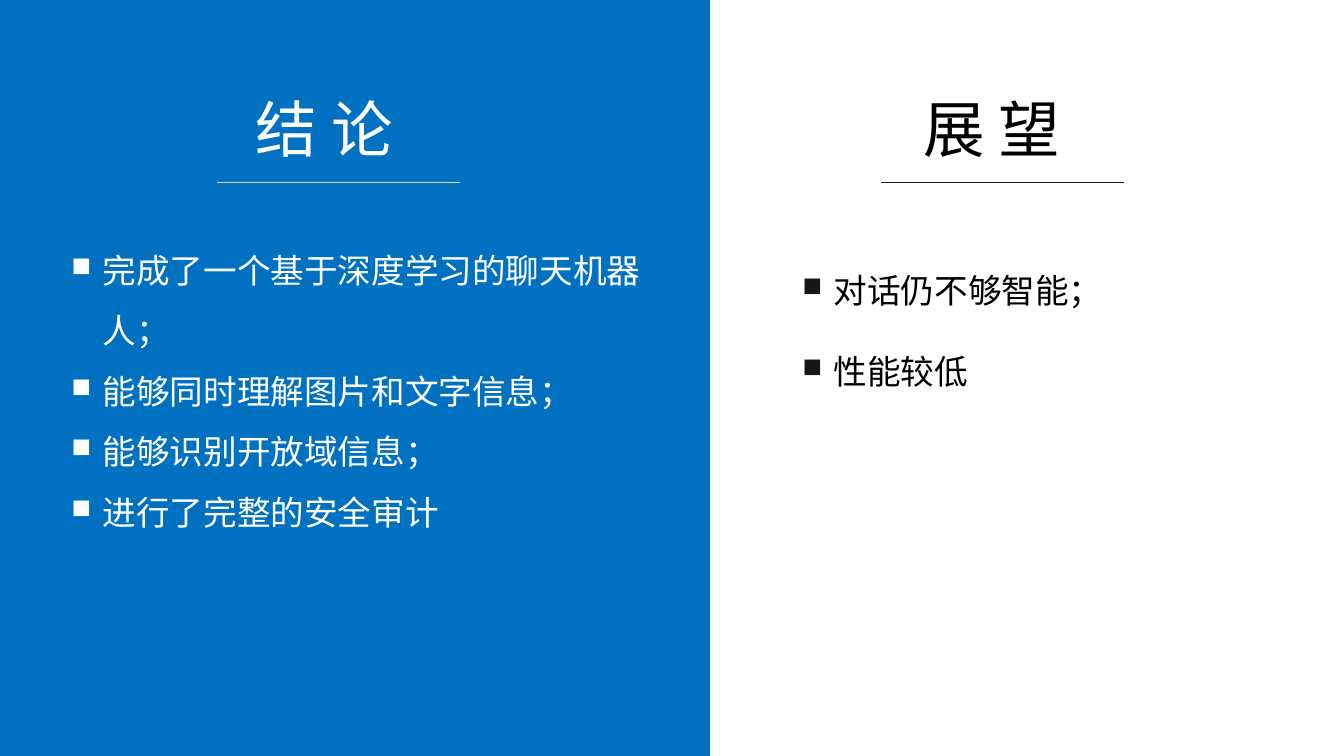
from dataclasses import dataclass

from lxml.etree import SubElement
from pptx import Presentation
from pptx.dml.color import RGBColor
from pptx.enum.shapes import MSO_CONNECTOR, MSO_SHAPE
from pptx.enum.text import MSO_AUTO_SIZE, PP_ALIGN
from pptx.oxml.ns import qn
from pptx.util import Inches, Pt


@dataclass(frozen=True)
class Theme:
    blue: str = "0070C0"
    white: str = "FFFFFF"
    black: str = "000000"
    ink: str = "181717"
    pale: str = "D9D9D9"
    heading_font: str = "Noto Sans CJK SC"
    body_font: str = "Calibri"
    heading_size: int = 44
    body_size: int = 24
    line_width: int = 1


theme = Theme()


def add_text(slide, box, lines, wrap, font_format, color, spacing=1.0, bullet_color=None):
    frame = slide.shapes.add_textbox(*map(Inches, box)).text_frame
    frame.word_wrap = wrap
    frame.auto_size = MSO_AUTO_SIZE.SHAPE_TO_FIT_TEXT
    for index, line in enumerate(lines):
        paragraph = frame.paragraphs[0] if index == 0 else frame.add_paragraph()
        paragraph.alignment = PP_ALIGN.LEFT
        paragraph.line_spacing = spacing
        if bullet_color:
            add_bullet(paragraph, bullet_color)
        run = paragraph.add_run()
        run.text = line
        for attribute, value in font_format.items():
            setattr(run.font, attribute, value)
        run.font.color.rgb = RGBColor.from_string(color)
        if run.font.name == theme.heading_font:
            SubElement(run.font._element, qn("a:ea"), typeface=theme.heading_font)


def add_bullet(paragraph, color):
    properties = paragraph._p.get_or_add_pPr()
    indent = Inches(0.31)
    properties.set("marL", str(indent))
    properties.set("indent", str(-indent))
    SubElement(SubElement(properties, qn("a:buClr")), qn("a:srgbClr"), val=color)
    SubElement(properties, qn("a:buSzPct"), val="80000")
    SubElement(properties, qn("a:buChar"), char="■")


presentation = Presentation()
presentation.slide_width = Inches(13.33)
presentation.slide_height = Inches(7.5)
slide = presentation.slides.add_slide(presentation.slide_layouts[6])

# Blue left half
left_half = slide.shapes.add_shape(
    MSO_SHAPE.RECTANGLE, 0, 0, Inches(7.04), presentation.slide_height)
left_half.shadow.inherit = False
left_half.fill.solid()
left_half.fill.fore_color.rgb = RGBColor.from_string(theme.blue)
left_half.line.color.rgb = RGBColor.from_string(theme.blue)
left_half.line.width = Pt(theme.line_width)

# Conclusion and outlook columns
heading_format = {"name": theme.heading_font, "size": Pt(theme.heading_size)}
body_format = {"name": theme.body_font, "size": Pt(theme.body_size)}
columns = [
    {"heading": "结 论", "heading_left": 2.44, "rule_left": 2.15, "body_left": 0.61,
     "body_height": 3.07, "spacing": 1.5,
     "text": theme.white, "rule": theme.pale, "bullet": theme.white,
     "points": ["完成了一个基于深度学习的聊天机器人；", "能够同时理解图片和文字信息；",
                "能够识别开放域信息；", "进行了完整的安全审计"]},
    {"heading": "展 望", "heading_left": 9.06, "rule_left": 8.74, "body_left": 7.86,
     "body_height": 2.41, "spacing": 2.0,
     "text": theme.black, "rule": theme.ink, "bullet": theme.ink,
     "points": ["对话仍不够智能；", "性能较低"]},
]
for column in columns:
    # Heading
    add_text(slide, (column["heading_left"], 0.85, 1.74, 0.84), [column["heading"]],
             False, heading_format, column["text"])

    # Rule under the heading
    rule = slide.shapes.add_connector(
        MSO_CONNECTOR.STRAIGHT, Inches(column["rule_left"]), Inches(1.81),
        Inches(column["rule_left"] + 2.41), Inches(1.81))
    rule.line.color.rgb = RGBColor.from_string(column["rule"])
    rule.line.width = Pt(theme.line_width)
    SubElement(rule._element.spPr, qn("a:effectLst"))

    # Points
    add_text(slide, (column["body_left"], 2.23, 5.9, column["body_height"]),
             column["points"], True, body_format, column["text"],
             column["spacing"], column["bullet"])

presentation.save("out.pptx")
